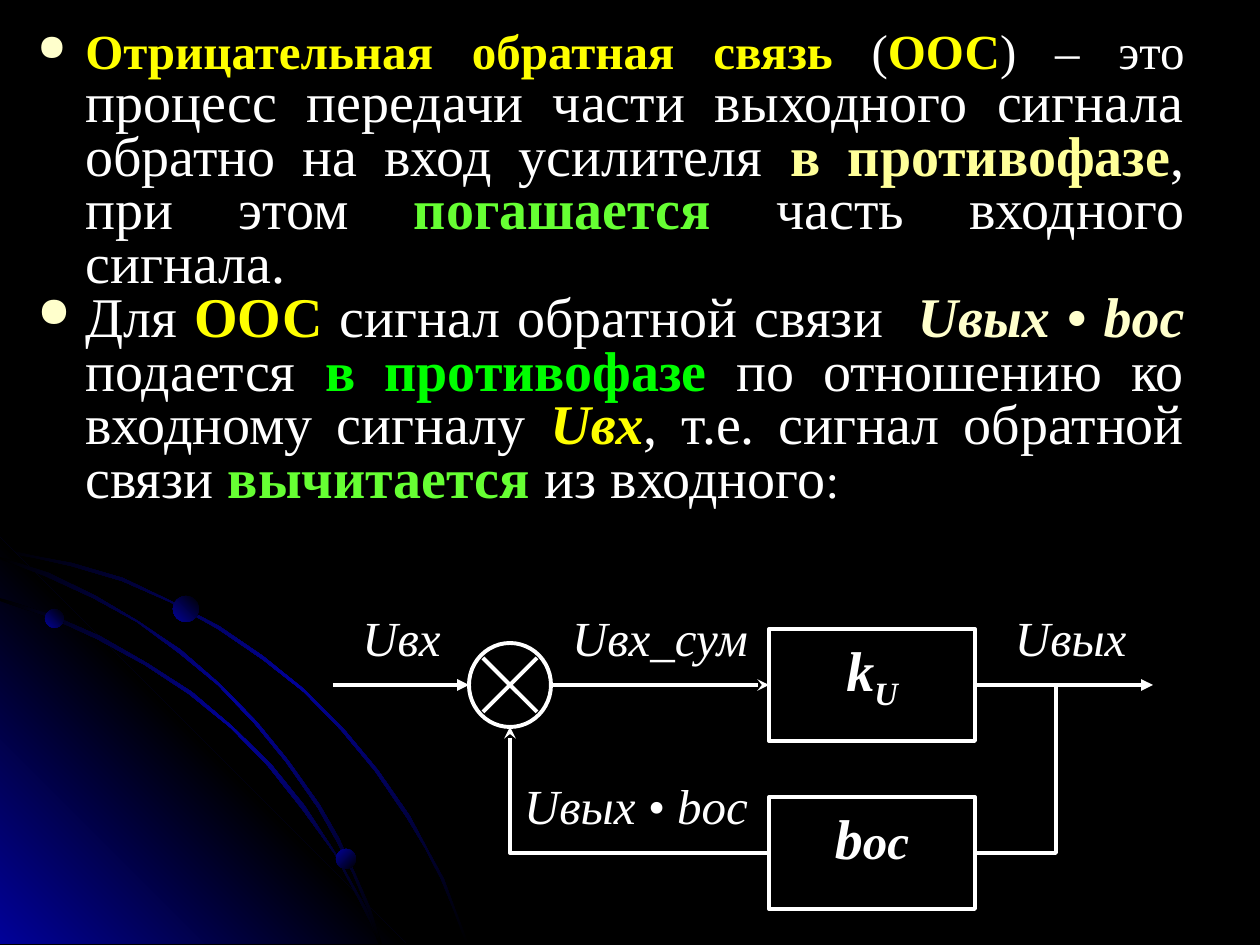
from copy import deepcopy

from lxml import etree
from pptx import Presentation
from pptx import util as u
from pptx.dml import color
from pptx.enum import shapes, text
from pptx.oxml import ns

px = 7257
white, yellow, cream, lime = "FFFFFF", "FFFF00", "FFFFCC", "66FF33"
black, blue = "000000", "010199"


def paint(fill, colour):
    fill.solid()
    fill.fore_color.rgb = color.RGBColor.from_string(colour)


def write(paragraph, content, size=32, colour=white, bold=False, italic=False, baseline=None):
    run = paragraph.add_run()
    run.text = content
    run.font.name = "Times New Roman"
    run.font.size = u.Pt(size)
    run.font.bold = bold
    run.font.italic = italic
    paint(run.font.fill, colour)
    if baseline:
        run.font._element.set("baseline", str(baseline))


presentation = Presentation()
presentation.slide_width = u.Inches(10)
presentation.slide_height = u.Inches(7.5)
slide = presentation.slides.add_slide(presentation.slide_layouts[6])
paint(slide.background.fill, black)

outer_arc = [
    (72, 563), (35, 556), (0, 548), (0, 552), (35, 558), (71, 566), (122, 581), (170, 602),
    (218, 629), (262, 659), (304, 692), (341, 730), (375, 771), (407, 818), (425, 848),
    (441, 879), (454, 911), (466, 944), (469, 944), (456, 911), (444, 879), (427, 848),
    (410, 816), (378, 770), (343, 728), (305, 690), (263, 656), (219, 626), (171, 601), (123, 578),
]
corner = [(406, 944), (0, 944), (0, 538)]
inner_arc = [
    (359, 900), (370, 922), (379, 944), (382, 944), (373, 920), (360, 897), (335, 852),
    (305, 806), (271, 764), (232, 726), (192, 692), (147, 663), (100, 636), (52, 615),
    (0, 598), (0, 601), (49, 617), (97, 639), (145, 665), (189, 694), (231, 728),
    (268, 766), (302, 809), (334, 853),
]
middle_arc = [
    (0, 557), (0, 559), (45, 576), (93, 598), (137, 622), (179, 653), (218, 685), (255, 724),
    (286, 762), (318, 808), (336, 840), (353, 874), (368, 910), (379, 944), (382, 944),
    (370, 907), (355, 873), (339, 838), (320, 805), (288, 760), (257, 722), (220, 684),
    (181, 650), (138, 621), (96, 596), (49, 573),
]
glow = (black, blue, black)
decorations = []
for points, colours, angle in [
    (outer_arc, glow, 225), (corner, (blue, black, blue), 135),
    (inner_arc, glow, 225), (middle_arc, glow, 225),
]:
    builder = slide.shapes.build_freeform(*points[0], scale=px)
    builder.add_line_segments(points[1:], close=True)
    decorations.append((builder.convert_to_shape(), colours, angle))
for left, top, size, angle in [(45, 609, 19, 135), (336, 849, 20, 225), (173, 596, 26, 135)]:
    planet = slide.shapes.add_shape(
        shapes.MSO_SHAPE.OVAL, left * px, top * px, size * px, size * px)
    decorations.append((planet, (black, blue), angle))

for shape, colours, angle in decorations:
    shape.shadow.inherit = False
    shape.line.fill.background()
    shape.fill.gradient()
    shape.fill.gradient_angle = 360 - angle
    stop_list = shape._element.spPr.find(".//" + ns.qn("a:gsLst"))
    for extra in colours[2:]:
        stop_list.append(deepcopy(stop_list[0]))
    for index, stop in enumerate(shape.fill.gradient_stops):
        stop.position = index / (len(colours) - 1)
        stop.color.rgb = color.RGBColor.from_string(colours[index])

definitions = [
    [
        ("Отрицательная обратная связь ", dict(size=28, colour=yellow, bold=True)),
        ("(", dict(size=28)),
        ("ООС", dict(size=28, colour=yellow, bold=True)),
        (") – это ", dict(size=28)),
        ("процесс передачи части выходного сигнала обратно на вход усилителя ", {}),
        ("в противофазе", dict(colour="FFFF99", bold=True)),
        (", при этом ", {}),
        ("погашается", dict(colour=lime, bold=True)),
        (" часть входного сигнала.", {}),
    ],
    [
        ("Для ", {}),
        ("ООС", dict(colour=yellow, bold=True)),
        (" сигнал обратной связи  ", {}),
        ("Uвых", dict(colour=cream, bold=True, italic=True)),
        (" • ", dict(colour=cream, bold=True)),
        ("bос", dict(colour=cream, bold=True, italic=True)),
        (" подается ", {}),
        ("в противофазе", dict(colour="00FF00", bold=True)),
        (" по отношению ко входному сигналу ", {}),
        ("Uвх", dict(colour=yellow, bold=True, italic=True)),
        (", т.е. сигнал обратной связи ", {}),
        ("вычитается ", dict(colour=lime, bold=True)),
        ("из входного", {}),
        (":", dict(size=28)),
    ],
]
body = slide.shapes.add_textbox(25 * px, 26 * px, 1172 * px, 507 * px).text_frame
body.word_wrap = True
for index, runs in enumerate(definitions):
    paragraph = body.add_paragraph() if index else body.paragraphs[0]
    paragraph.alignment = text.PP_ALIGN.JUSTIFY
    paragraph.line_spacing = 0.8
    properties = paragraph._p.get_or_add_pPr()
    properties.set("marL", str(48 * px))
    properties.set("indent", str(-48 * px))
    bullet_colour = etree.SubElement(properties, ns.qn("a:buClr"))
    etree.SubElement(bullet_colour, ns.qn("a:srgbClr"), val=cream)
    etree.SubElement(properties, ns.qn("a:buSzPct"), val="75000")
    etree.SubElement(properties, ns.qn("a:buChar"), char="●")
    for content, style in runs:
        write(paragraph, content, **style)

outlines = []
blocks = []
for top, runs in [
    (629, [("k", dict(size=32)), ("U", dict(size=32, baseline=-25000))]),
    (797, [("b", dict(size=32)), ("ос", dict(size=28))]),
]:
    block = slide.shapes.add_shape(
        shapes.MSO_SHAPE.RECTANGLE, 769 * px, top * px, 206 * px, 112 * px)
    block.text_frame.vertical_anchor = text.MSO_ANCHOR.TOP
    paragraph = block.text_frame.paragraphs[0]
    paragraph.alignment = text.PP_ALIGN.CENTER
    for content, style in runs:
        write(paragraph, content, bold=True, italic=True, **style)
    blocks.append(block)
    outlines.append((block, None))
amplifier = blocks[0]

adder = slide.shapes.add_shape(shapes.MSO_SHAPE.OVAL, 469 * px, 643 * px, 82 * px, 84 * px)
outlines.append((adder, None))

for points, head in [
    ([(1056, 685), (1056, 853), (975, 853)], None),
    ([(769, 853), (510, 853), (510, 727)], "stealth"),
]:
    builder = slide.shapes.build_freeform(*points[0], scale=px)
    builder.add_line_segments(points[1:], close=False)
    outlines.append((builder.convert_to_shape(), head))

for shape, head in outlines:
    shape.shadow.inherit = False
    shape.fill.background()

for start_x, start_y, end_x, end_y, source, target, head in [
    (975, 685, 1153, 685, amplifier, None, "triangle"),
    (483, 658, 537, 712, None, None, None),
    (537, 658, 483, 712, None, None, None),
    (333, 685, 469, 685, None, None, "triangle"),
    (551, 685, 769, 685, None, amplifier, "stealth"),
]:
    connector = slide.shapes.add_connector(
        shapes.MSO_CONNECTOR.STRAIGHT, start_x * px, start_y * px, end_x * px, end_y * px)
    if source:
        connector.begin_connect(source, 3)
    if target:
        connector.end_connect(target, 1)
    outlines.append((connector, head))
    connector.line.width = u.Pt(2.25)
    etree.SubElement(connector._element.spPr, ns.qn("a:effectLst"))

for shape, head in outlines:
    shape.line.width = u.Pt(2.25)
    paint(shape.line.fill, white)
    if head:
        outline = shape._element.spPr.find(ns.qn("a:ln"))
        etree.SubElement(outline, ns.qn("a:tailEnd"), type=head)

for content, left, top, width, margin, alignment in [
    ("Uвх", 333, 601, 137, 13, text.PP_ALIGN.CENTER),
    ("Uвых", 1002, 601, 164, 13, text.PP_ALIGN.LEFT),
    ("Uвх_сум", 551, 601, 218, 13, text.PP_ALIGN.CENTER),
    ("Uвых • bос", 506, 769, 260, 0, text.PP_ALIGN.CENTER),
]:
    label = slide.shapes.add_textbox(left * px, top * px, width * px, 84 * px).text_frame
    label.word_wrap = True
    label.margin_left = label.margin_right = margin * px
    label.paragraphs[0].alignment = alignment
    write(label.paragraphs[0], content, size=28, italic=True)

presentation.save("out.pptx")
